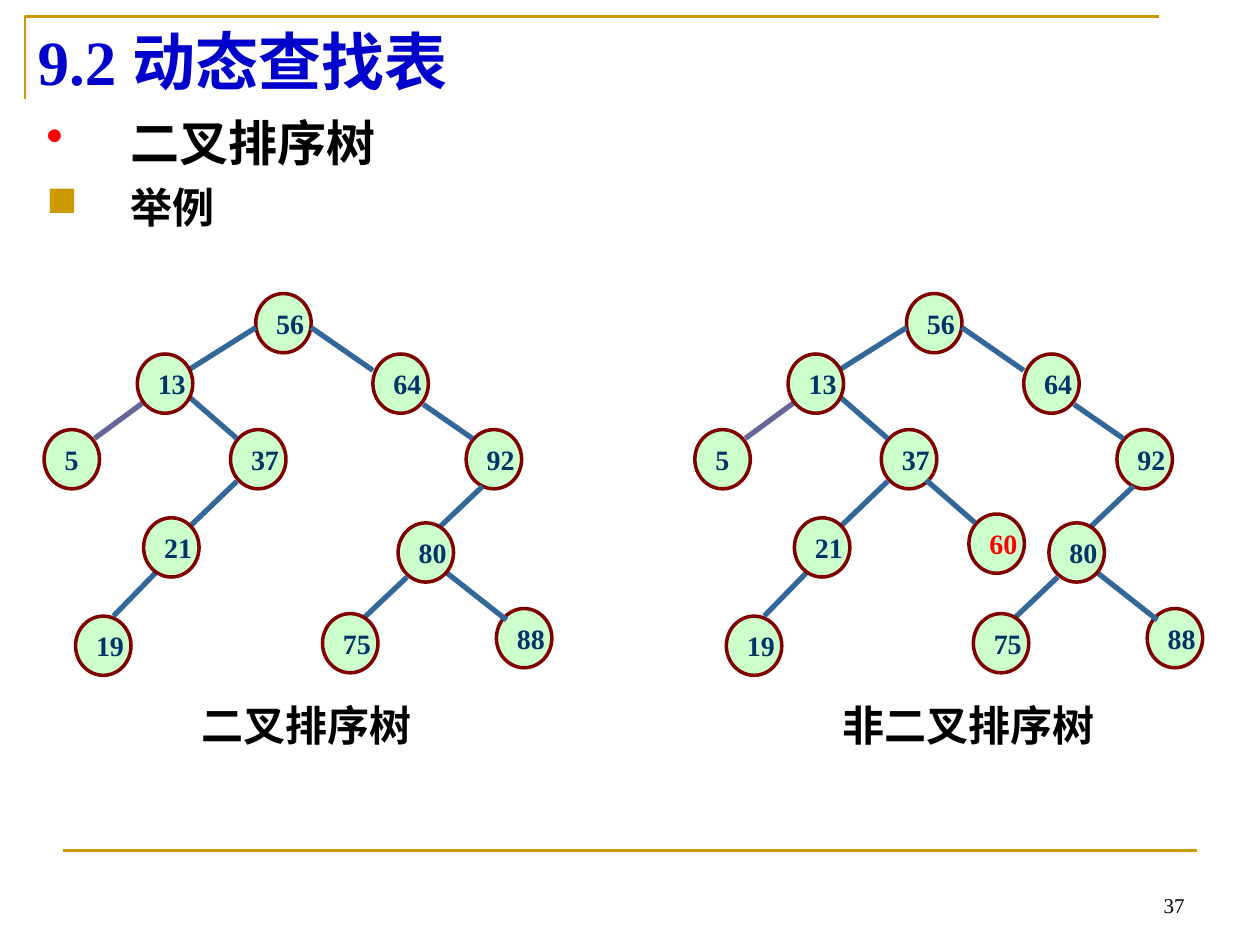
from lxml import etree
from pptx import Presentation
from pptx.dml.color import RGBColor
from pptx.enum.shapes import MSO_CONNECTOR, MSO_SHAPE
from pptx.enum.text import MSO_ANCHOR, PP_ALIGN
from pptx.oxml.ns import qn
from pptx.util import Inches, Pt

STRAIGHT = MSO_CONNECTOR.STRAIGHT
ELLIPSE = MSO_SHAPE.OVAL
TOP, MIDDLE, BOTTOM = MSO_ANCHOR.TOP, MSO_ANCHOR.MIDDLE, MSO_ANCHOR.BOTTOM
LEFT, CENTER, RIGHT = PP_ALIGN.LEFT, PP_ALIGN.CENTER, PP_ALIGN.RIGHT

COLUMNS, ROWS = 100, 75
NODE_SIZE = (4.4, 4.7)
TREE_SHIFT = 51.65

SERIF, SANS, CHINESE = "Times New Roman", "Lato", "Noto Sans CJK SC"
GOLD, BLACK, RED, TITLE_BLUE = "CC9900", "000000", "FF0000", "0000CC"
NODE_FILL, NODE_LINE, NODE_TEXT = "CCFFCC", "800000", "003366"
EDGE_BLUE, EDGE_PURPLE = "336699", "666699"

# Left and top of each node of the first tree, in grid cells
BACK_NODES = {
    "56": (20.3, 23.3), "64": (29.6, 28.1), "5": (3.5, 34.1), "92": (37, 34.1),
    "37": (18.3, 34.1), "88": (39.4, 48.3), "19": (6, 48.9),
}
FRONT_NODES = {"80": (31.6, 41.5), "21": (11.4, 41.1),
               "13": (10.9, 28.1), "75": (25.6, 48.7)}
# Start and end of each edge, in grid cells
EDGES = {
    ("56", "13"): (20.3, 26, 14.9, 29.4),
    ("13", "5"): (11.3, 32, 7.5, 34.8),
    ("56", "64"): (24.7, 26, 29.6, 29.4),
    ("13", "37"): (14.9, 31.4, 18.8, 34.8),
    ("37", "21"): (18.8, 38.2, 14, 42.8),
    ("64", "92"): (33.6, 32.1, 37.5, 34.8),
    ("92", "80"): (38.3, 38.6, 34.5, 42.2),
    ("80", "88"): (35.5, 45.5, 40.2, 49.2),
    ("21", "19"): (12.9, 44.9, 9, 48.9),
    ("80", "75"): (32.3, 45.8, 28.5, 49.4),
}
MISPLACED_NODE, MISPLACED_EDGE = (25.25, 40.8), (21.85, 38.1, 25.75, 41.5)


def color(hex_string):
    return RGBColor.from_string(hex_string)


def write(paragraph, text, size, font=SERIF, fill=BLACK, bold=True, align=LEFT):
    paragraph.alignment = align
    run = paragraph.add_run()
    run.text = text
    run.font.size, run.font.bold, run.font.name = Pt(size), bold, font
    run.font.color.rgb = color(fill)
    east_asian = etree.SubElement(run.font._element, qn("a:ea"))
    east_asian.set("typeface", SANS)


def add_bullet(paragraph, character, fill, indent):
    """Give the paragraph a coloured bullet with a hanging indent."""
    properties = paragraph._p.get_or_add_pPr()
    properties.set("marL", str(indent))
    properties.set("indent", str(-indent))
    bullet_color = etree.SubElement(properties, qn("a:buClr"))
    etree.SubElement(bullet_color, qn("a:srgbClr")).set("val", fill)
    etree.SubElement(properties, qn("a:buChar")).set("char", character)


class TreeSlide:
    """Draws on one slide; all lengths are cells of a 100 by 75 grid."""

    def __init__(self, presentation):
        self.slide = presentation.slides.add_slide(presentation.slide_layouts[6])
        self.shapes = self.slide.shapes
        self.column = presentation.slide_width / COLUMNS
        self.row = presentation.slide_height / ROWS

    def place(self, *cells):
        """Turn alternating columns and rows into slide lengths."""
        return [round(cell * (self.row if index % 2 else self.column))
                for index, cell in enumerate(cells)]

    def text_box(self, box, anchor=TOP):
        frame = self.shapes.add_textbox(*self.place(*box)).text_frame
        frame.word_wrap = True
        frame.vertical_anchor = anchor
        return frame

    def text(self, box, text, size, anchor=TOP, **style):
        write(self.text_box(box, anchor).paragraphs[0], text, size, **style)

    def bullets(self, box, items):
        frame = self.text_box(box)
        for index, (text, size, character, fill) in enumerate(items):
            paragraph = frame.add_paragraph() if index else frame.paragraphs[0]
            if index:
                paragraph.space_before = Pt(6)
            add_bullet(paragraph, character, fill, Inches(0.67))
            write(paragraph, text, size, font=CHINESE)

    def line(self, ends, fill, width):
        connector = self.shapes.add_connector(STRAIGHT, *self.place(*ends))
        connector.line.color.rgb = color(fill)
        connector.line.width = Pt(width)
        etree.SubElement(connector._element.spPr, qn("a:effectLst"))

    def corner(self, left, top, right, bottom):
        builder = self.shapes.build_freeform(*self.place(left, bottom))
        points = [self.place(left, top), self.place(right, top)]
        builder.add_line_segments(points, close=False)
        shape = builder.convert_to_shape()
        shape.shadow.inherit = False
        shape.fill.background()
        shape.line.color.rgb = color(GOLD)
        shape.line.width = Pt(1.5)

    def node(self, key, left, top, fill=NODE_TEXT):
        shape = self.shapes.add_shape(ELLIPSE, *self.place(left, top, *NODE_SIZE))
        shape.shadow.inherit = False
        shape.fill.solid()
        shape.fill.fore_color.rgb = color(NODE_FILL)
        shape.line.color.rgb = color(NODE_LINE)
        shape.line.width = Pt(2)
        frame = shape.text_frame
        frame.word_wrap = False
        frame.vertical_anchor = MIDDLE
        write(frame.paragraphs[0], key, 16, fill=fill)

    def edge(self, ends, shift, fill=EDGE_BLUE):
        start_x, start_y, end_x, end_y = ends
        self.line((start_x + shift, start_y, end_x + shift, end_y), fill, 3)

    def tree(self, shift):
        for key, (left, top) in BACK_NODES.items():
            self.node(key, left + shift, top)
        for pair, ends in EDGES.items():
            self.edge(ends, shift, EDGE_PURPLE if pair == ("13", "5") else EDGE_BLUE)
        for key, (left, top) in FRONT_NODES.items():
            self.node(key, left + shift, top)


def main():
    presentation = Presentation()
    presentation.slide_width, presentation.slide_height = Inches(10), Inches(7.5)
    page = TreeSlide(presentation)

    page.corner(2, 1.3, 92, 7.9)
    page.line((5, 67.5, 95, 67.5), GOLD, 1.5)
    page.text((71.7, 68.3, 23.3, 5), "37", 12, anchor=BOTTOM, bold=False, align=RIGHT)
    page.bullets((2.7, 8.4, 87.4, 44.9), [("二叉排序树", 28, "•", RED),
                                          ("举例", 24, "■", GOLD)])
    page.text((2, 1.3, 90, 7.1), "9.2 动态查找表", 36, fill=TITLE_BLUE)

    for left, caption, shift in ((12.7, "二叉排序树", 0),
                                 (65.2, "非二叉排序树", TREE_SHIFT)):
        page.text((left, 55, 23.3, 5), caption, 24, font=SANS, align=CENTER)
        page.tree(shift)

    left, top = MISPLACED_NODE
    page.node("60", left + TREE_SHIFT, top, fill=RED)
    page.edge(MISPLACED_EDGE, TREE_SHIFT)

    presentation.save("out.pptx")


if __name__ == "__main__":
    main()
